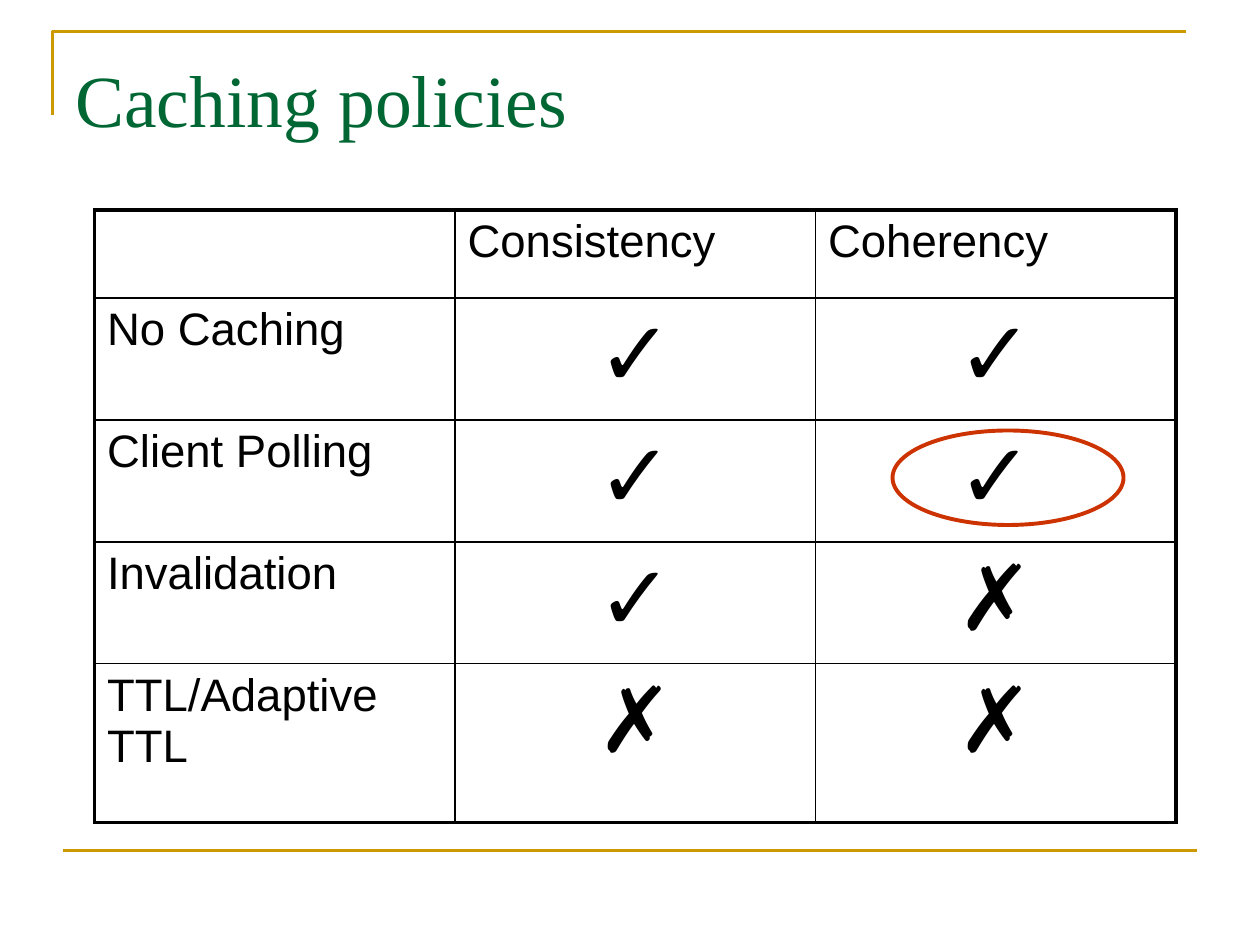
from pptx import Presentation
from pptx.dml.color import RGBColor as RGB
from pptx.enum.shapes import MSO_CONNECTOR as Conn, MSO_SHAPE as Kind
from pptx.enum.text import PP_ALIGN as Align
from pptx.oxml.ns import qn
from pptx.util import Pt
from lxml.etree import SubElement as Sub

TITLE = "Caching policies"
ROWS = [
    ("", "Consistency", "Coherency"),
    ("No Caching", "✓", "✓"),
    ("Client Polling", "✓", "✓"),
    ("Invalidation", "✓", "✗"),
    ("TTL/Adaptive TTL", "✗", "✗"),
]
MARKS = ("✓", "✗")
COLORS = {"gold": "CC9900", "green": "006633", "black": "000000", "red": "CC3300"}
FONTS = {
    "title": {"name": "Times New Roman", "size": Pt(42)},
    "label": {"name": "Arial", "size": Pt(26)},
    "mark": {"name": "Arial", "size": Pt(52)},
}
LEFT, TOP, COL = 54, 120, 206
HIGH = [50.4, 65.2, 65.2, 65.2, 90.6]
THICK, THIN = 2.25, 1


def style(font, kind, color):
    for key, val in FONTS[kind].items():
        setattr(font, key, val)
    font.color.rgb = RGB.from_string(COLORS[color])


def stroke(shape, color, width):
    shape.line.color.rgb = RGB.from_string(COLORS[color])
    shape.line.width = Pt(width)


def border(cell, widths):
    """Draw the cell's edges, given as a dict of side letter to width."""
    props = cell._tc.get_or_add_tcPr()
    for side, width in widths.items():
        edge = Sub(props, qn(f"a:ln{side}"), w=str(Pt(width)))
        fill = Sub(edge, qn("a:solidFill"))
        Sub(fill, qn("a:srgbClr"), val=COLORS["black"])


def rules(slide):
    path = slide.shapes.build_freeform(Pt(30), Pt(66), scale=1.0)
    path.add_line_segments([(Pt(30), Pt(18)), (Pt(678), Pt(18))], close=False)
    frame = path.convert_to_shape()
    frame.fill.background()
    frame.shadow.inherit = False
    stroke(frame, "gold", 1.5)
    foot = slide.shapes.add_connector(Conn.STRAIGHT, Pt(36), Pt(486), Pt(684), Pt(486))
    stroke(foot, "gold", 1.5)
    Sub(foot._element.spPr, qn("a:effectLst"))


def heading(slide):
    box = slide.shapes.add_textbox(Pt(36), Pt(21.6), Pt(648), Pt(90))
    text = box.text_frame
    text.word_wrap = True
    text.margin_top = Pt(9)
    text.text = TITLE
    style(text.paragraphs[0].font, "title", "green")


def grid(slide):
    rows, cols = len(ROWS), len(ROWS[0])
    table = slide.shapes.add_table(
        rows, cols, Pt(LEFT), Pt(TOP), Pt(COL * cols), Pt(sum(HIGH))).table
    table.first_row = table.horz_banding = False
    for col in table.columns:
        col.width = Pt(COL)
    for r, (row, high) in enumerate(zip(ROWS, HIGH)):
        table.rows[r].height = Pt(high)
        for c, word in enumerate(row):
            cell = table.cell(r, c)
            outer = {"L": c == 0, "R": c == cols - 1, "T": r == 0, "B": r == rows - 1}
            border(cell, {side: THICK if out else THIN for side, out in outer.items()})
            cell.fill.background()
            cell.text = word
            para = cell.text_frame.paragraphs[0]
            mark = word in MARKS
            para.alignment = Align.CENTER if mark else Align.LEFT
            style(para.font, "mark" if mark else "label", "black")


def ring(slide):
    oval = slide.shapes.add_shape(Kind.OVAL, Pt(510), Pt(246), Pt(132), Pt(54))
    oval.fill.background()
    oval.shadow.inherit = False
    stroke(oval, "red", 2.25)


def main():
    deck = Presentation()
    deck.slide_width, deck.slide_height = Pt(720), Pt(540)
    slide = deck.slides.add_slide(deck.slide_layouts[6])
    for draw in (rules, heading, grid, ring):
        draw(slide)
    deck.save("out.pptx")


if __name__ == "__main__":
    main()
